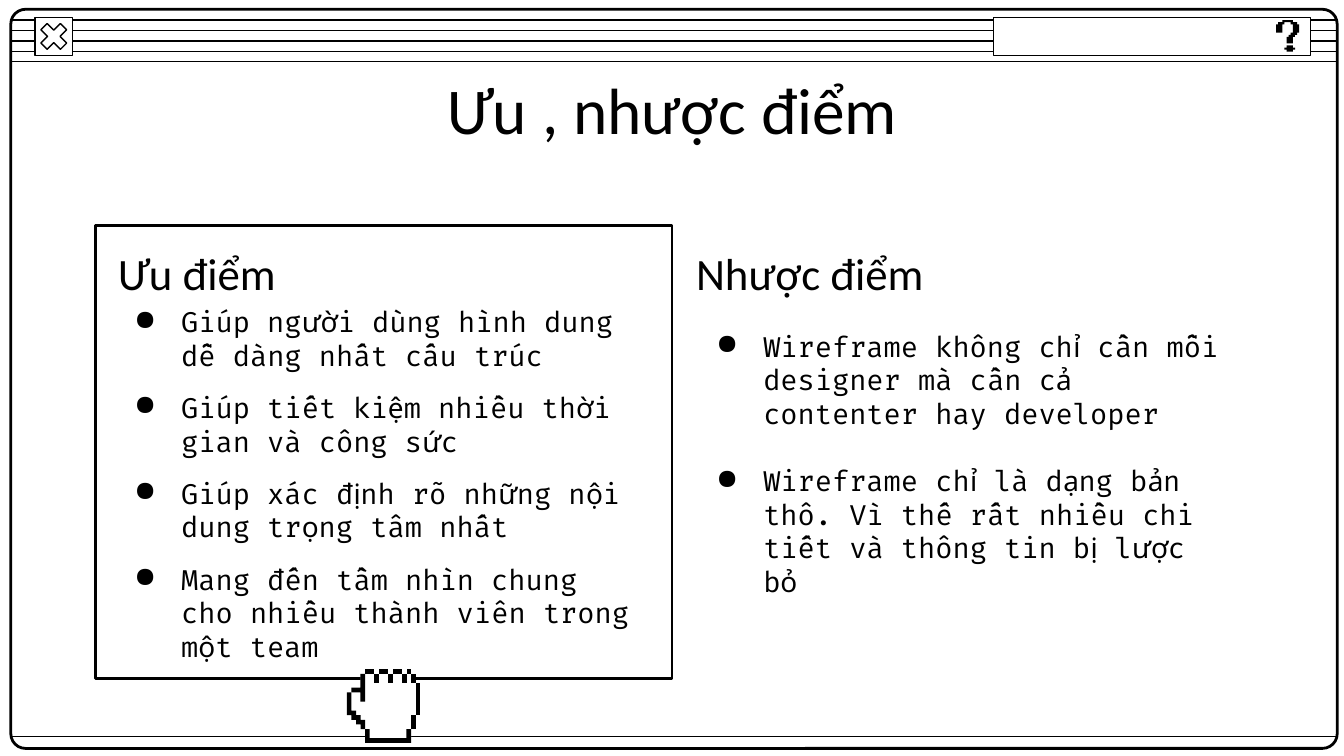
import pptx
import pptx.util
import pptx.dml.color
import pptx.enum.shapes
import pptx.enum.text
import pptx.oxml
import pptx.oxml.ns

Pt = pptx.util.Pt
Shape = pptx.enum.shapes.MSO_SHAPE
Align = pptx.enum.text.PP_ALIGN
COLORS = {"ink": "000000", "paper": "FFFFFF"}
HEADING_FONT = "Calibri"
BODY_FONT = "Fira Code"

ADVANTAGES = [
    "Giúp người dùng hình dung dễ dàng nhất cấu trúc",
    "Giúp tiết kiệm nhiều thời gian và công sức",
    "Giúp xác định rõ những nội dung trọng tâm nhất",
    "Mang đến tầm nhìn chung cho nhiều thành viên trong một team",
]
DRAWBACKS = [
    "Wireframe không chỉ cần mỗi designer mà cần cả contenter hay developer",
    "Wireframe chỉ là dạng bản thô. Vì thế rất nhiều chi tiết và thông tin bị lược bỏ",
]

QUESTION_HOOK = [
    (3, 0), (3, 1), (1, 1), (1, 2), (0, 2), (0, 6), (3, 6), (3, 2), (4, 2), (4, 1),
    (7, 1), (7, 2), (8, 2), (8, 6), (7, 6), (7, 7), (6, 7), (6, 8), (5, 8), (5, 11),
    (8, 11), (8, 8), (9, 8), (9, 7), (10, 7), (10, 6), (11, 6), (11, 2), (10, 2),
    (10, 1), (8, 1), (8, 0),
]
QUESTION_DOT = [
    (5, 12), (5, 13), (4, 13), (4, 14), (5, 14), (5, 15),
    (8, 15), (8, 14), (9, 14), (9, 13), (8, 13), (8, 12),
]
HAND_PALM = [
    (4, 0), (4, 1), (3, 1), (3, 4), (1, 4), (1, 5), (0, 5), (0, 10), (1, 10), (1, 11),
    (2, 11), (2, 12), (3, 12), (3, 13), (4, 13), (4, 16), (14, 16), (14, 13), (15, 13),
    (15, 10), (16, 10), (16, 3), (15, 3), (15, 1), (14, 1), (14, 0), (13, 0), (13, 1),
    (12, 1), (12, 0), (10, 0), (10, 1), (9, 1), (9, 0), (7, 0), (7, 1), (6, 1), (6, 0),
]
HAND_WRIST = [(4, 13), (4, 16), (14, 16), (14, 13), (13, 13), (13, 15), (5, 15), (5, 13)]
HAND_KNUCKLE = [(3, 1), (3, 4), (1, 4), (1, 5), (3, 5), (3, 7), (4, 7), (4, 1)]
HAND_THUMB = [
    (0, 5), (0, 10), (1, 10), (1, 11), (2, 11), (2, 12), (3, 12), (3, 13), (4, 13),
    (4, 11), (3, 11), (3, 10), (2, 10), (2, 9), (1, 9), (1, 5),
]
HAND_BARS = [
    (14, 1, 1, 2), (12, 1, 1, 2), (9, 1, 1, 2), (6, 1, 1, 2), (15, 3, 1, 7),
    (14, 10, 1, 3), (4, 0, 2, 1), (7, 0, 2, 1), (10, 0, 2, 1), (13, 0, 1, 1),
]


def bar_outline(left, top, width, height):
    right, bottom = left + width, top + height
    return [(left, top), (left, bottom), (right, bottom), (right, top)]


class RetroSlide:
    def __init__(self, slide):
        self.slide = slide

    def color(self, name):
        return pptx.dml.color.RGBColor.from_string(COLORS[name])

    def fill(self, shape, name):
        shape.fill.solid()
        shape.fill.fore_color.rgb = self.color(name)

    def rule(self, top):
        line = self.slide.shapes.add_connector(
            pptx.enum.shapes.MSO_CONNECTOR.STRAIGHT, Pt(6), Pt(top), Pt(716.4), Pt(top))
        line.line.color.rgb = self.color("ink")
        line.line.width = Pt(0.75)
        line._element.spPr.append(pptx.oxml.parse_xml(
            f"<a:effectLst {pptx.oxml.ns.nsdecls('a')}/>"))

    def box(self, kind, left, top, width, height, weight=0.75, fill=None, adjustment=None):
        shape = self.slide.shapes.add_shape(kind, Pt(left), Pt(top), Pt(width), Pt(height))
        shape.shadow.inherit = False
        if adjustment is not None:
            shape.adjustments[0] = adjustment
        if fill:
            self.fill(shape, fill)
        else:
            shape.fill.background()
        shape.line.color.rgb = self.color("ink")
        shape.line.width = Pt(weight)

    def pixels(self, points, left, top, unit, fill="ink"):
        builder = self.slide.shapes.build_freeform(*points[0], scale=Pt(unit))
        builder.add_line_segments(points[1:], close=True)
        shape = builder.convert_to_shape(Pt(left), Pt(top))
        shape.shadow.inherit = False
        self.fill(shape, fill)
        shape.line.fill.background()

    def text(self, lines, left, top, width, height, size, font,
             align=Align.LEFT, bullets=False, gap=0):
        shape = self.slide.shapes.add_textbox(Pt(left), Pt(top), Pt(width), Pt(height))
        frame = shape.text_frame
        frame.word_wrap = True
        frame.vertical_anchor = pptx.enum.text.MSO_ANCHOR.MIDDLE
        frame.margin_left = frame.margin_right = Pt(7.2)
        frame.margin_top = frame.margin_bottom = Pt(7.2)
        frame.text = "\n".join(lines)
        for index, paragraph in enumerate(frame.paragraphs):
            paragraph.alignment = align
            if index:
                paragraph.space_before = Pt(gap)
            if bullets:
                self.bullet(paragraph)
            for run in paragraph.runs:
                run.font.name = font
                run.font.size = Pt(size)
                run.font.color.rgb = self.color("ink")

    def bullet(self, paragraph):
        properties = paragraph._p.get_or_add_pPr()
        properties.set("marL", str(Pt(36)))
        properties.set("indent", str(-Pt(25.2)))
        namespace = pptx.oxml.ns.nsdecls("a")
        properties.append(pptx.oxml.parse_xml(
            f'<a:buClr {namespace}><a:srgbClr val="{COLORS["ink"]}"/></a:buClr>'))
        properties.append(pptx.oxml.parse_xml(f'<a:buChar {namespace} char="●"/>'))


def main():
    presentation = pptx.Presentation()
    presentation.slide_width = Pt(720)
    presentation.slide_height = Pt(405)
    page = RetroSlide(presentation.slides.add_slide(presentation.slide_layouts[6]))

    for index in range(5):
        page.rule(10.8 + 5.55 * index)
    page.box(Shape.ROUNDED_RECTANGLE, 5.8, 5, 710.6, 396, weight=1.5, adjustment=0.02)
    page.box(Shape.RECTANGLE, 18.7, 9.4, 20.2, 20.2, fill="paper")
    page.box(Shape.MATH_MULTIPLY, 18.7, 9.4, 20.2, 20.2, fill="paper", adjustment=0.235)
    page.rule(394.6)
    page.box(Shape.RECTANGLE, 532.1, 9.4, 170, 20.2, fill="paper")
    for outline in (QUESTION_DOT, QUESTION_HOOK):
        page.pixels(outline, 683.6, 10.8, 1.13)

    page.box(Shape.RECTANGLE, 51.1, 121, 308.9, 242.6, weight=1.5)
    page.text(["Ưu , nhược điểm"], 56.9, 35.3, 607, 45.4, 35, HEADING_FONT, Align.CENTER)
    page.text(ADVANTAGES, 54, 176.4, 298, 165.6, 15, BODY_FONT, bullets=True, gap=10)
    page.text(DRAWBACKS, 365.8, 165.6, 298, 165.6, 15, BODY_FONT, bullets=True, gap=18)
    for heading, left in (("Ưu điểm", 56.2), ("Nhược điểm", 365.8)):
        page.text([heading], left, 126, 298, 39.6, 24, HEADING_FONT)

    hand = {"left": 185.8, "top": 358.6, "unit": 2.46}
    page.pixels(HAND_PALM, fill="paper", **hand)
    for outline in [HAND_WRIST, HAND_KNUCKLE, HAND_THUMB, *(bar_outline(*bar) for bar in HAND_BARS)]:
        page.pixels(outline, **hand)

    presentation.save("out.pptx")


if __name__ == "__main__":
    main()
